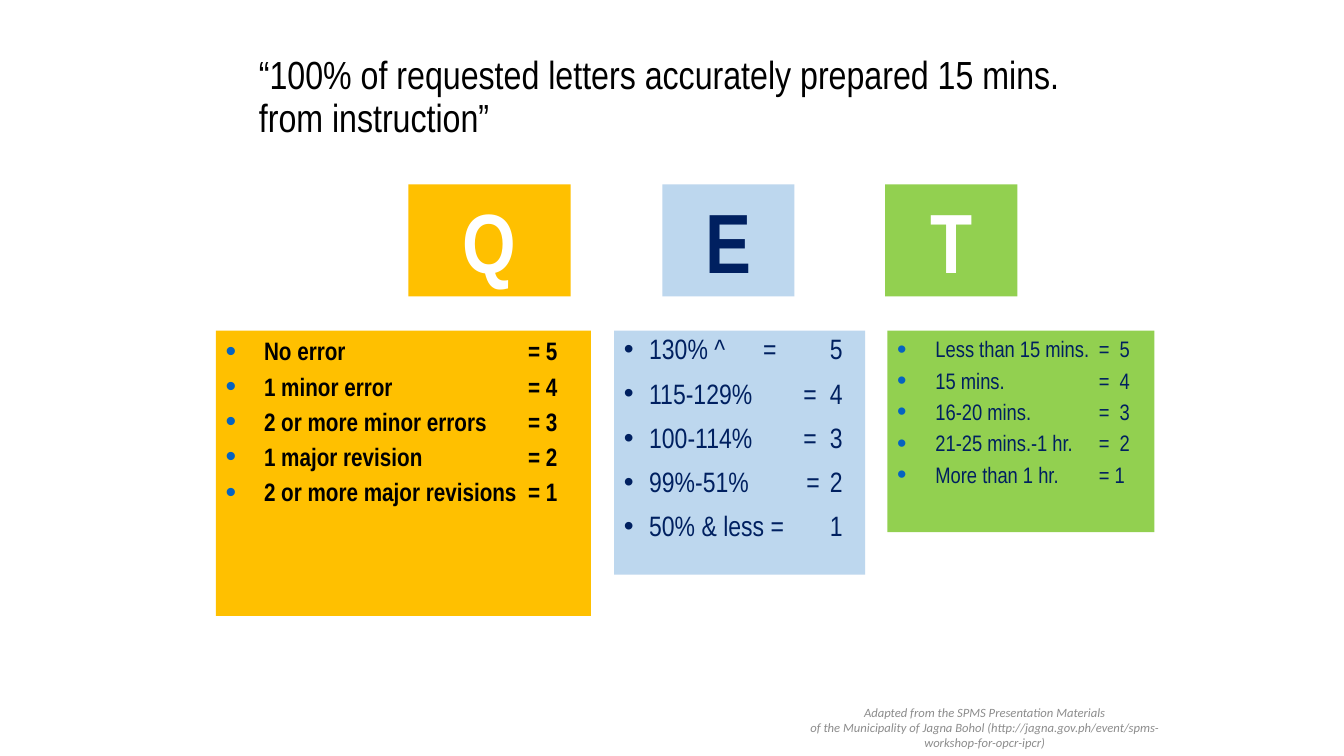
from dataclasses import dataclass

from pptx import Presentation
from pptx.dml.color import RGBColor
from pptx.enum import shapes, text
from pptx.oxml.ns import qn
from pptx.util import Inches, Pt
from lxml import etree


@dataclass(frozen=True)
class Theme:
    font: str = "Arial Narrow"
    credit_font: str = "Calibri"
    amber: str = "FFC000"
    blue: str = "BDD7EE"
    green: str = "92D050"
    navy: str = "002060"
    black: str = "000000"
    white: str = "FFFFFF"
    gray: str = "8C8C8C"
    bullet: str = "0563C1"
    title_size: int = 28
    letter_size: int = 60
    quality_size: int = 18
    efficiency_size: int = 20
    timeliness_size: int = 16
    credit_size: int = 9


THEME = Theme()
LETTER_TOP, LETTER_HEIGHT = 1.83, 1.11
SCALE_TOP = 3.28

# Each row holds its text and its tab stops, in inches from the text edge.
QUALITY = [(f"{label}\t= {score}", [3.0]) for label, score in (
    ("No error", 5), ("1 minor error", 4), ("2 or more minor errors", 3),
    ("1 major revision", 2), ("2 or more major revisions", 1))]
EFFICIENCY = [
    ("130% ^\t=\t5", [1.38, 2.08]),
    ("115-129%\t=\t4", [1.78, 2.08]),
    ("100-114%\t=\t3", [1.78, 2.08]),
    ("99%-51%\t=\t2", [1.81, 2.08]),
    ("50% & less =\t1", [2.08]),
]
TIMELINESS = [(f"{label}\t{score}", [2.0]) for label, score in (
    ("Less than 15 mins.", "=  5"), ("15 mins.", "=  4"),
    ("16-20 mins.", "=  3"), ("21-25 mins.-1 hr.", "=  2"),
    ("More than 1 hr.", "= 1"))]


def style_runs(paragraph, size, color, font=THEME.font, bold=False, italic=False):
    for run in paragraph.runs:
        run.font.name = font
        run.font.size = Pt(size)
        run.font.bold = bold
        run.font.italic = italic
        run.font.color.rgb = RGBColor.from_string(color)


def add_text(slide, box, lines, size, color, **run_style):
    """Add a vertically centred text box and return its paragraphs."""
    frame = slide.shapes.add_textbox(*map(Inches, box)).text_frame
    frame.word_wrap = True
    frame.vertical_anchor = text.MSO_ANCHOR.MIDDLE
    frame.text = "\n".join(lines)
    for paragraph in frame.paragraphs:
        style_runs(paragraph, size, color, **run_style)
    return frame.paragraphs


def add_panel(slide, box, fill):
    """Add a plain filled rectangle and return its text frame."""
    shape = slide.shapes.add_shape(shapes.MSO_SHAPE.RECTANGLE, *map(Inches, box))
    shape.shadow.inherit = False
    shape.fill.solid()
    shape.fill.fore_color.rgb = RGBColor.from_string(fill)
    shape.line.fill.background()
    shape.text_frame.word_wrap = True
    shape.text_frame.vertical_anchor = text.MSO_ANCHOR.TOP
    return shape.text_frame


def add_letter(slide, left, width, letter, fill, color):
    frame = add_panel(slide, (left, LETTER_TOP, width, LETTER_HEIGHT), fill)
    frame.text = letter
    paragraph = frame.paragraphs[0]
    paragraph.alignment = text.PP_ALIGN.CENTER
    style_runs(paragraph, THEME.letter_size, color, bold=True)


def set_bullet(paragraph, indent, color, percent, tab_stops):
    """Give a paragraph a hanging bullet and left tab stops."""
    properties = paragraph._p.get_or_add_pPr()
    properties.set("marL", str(Inches(indent)))
    properties.set("indent", str(-Inches(indent)))
    bullet_color = etree.SubElement(properties, qn("a:buClr"))
    etree.SubElement(bullet_color, qn("a:srgbClr"), val=color)
    etree.SubElement(properties, qn("a:buSzPct"), val=str(percent * 1000))
    etree.SubElement(properties, qn("a:buFont"), typeface="Arial")
    etree.SubElement(properties, qn("a:buChar"), char="•")
    tabs = etree.SubElement(properties, qn("a:tabLst"))
    for stop in tab_stops:
        etree.SubElement(tabs, qn("a:tab"), pos=str(Inches(stop)), algn="l")


def add_scale(slide, box, fill, rows, size, color, bold=False, indent=0.38,
              bullet_color=THEME.bullet, bullet_percent=120,
              line_spacing=1.0, space_before=None):
    """Add a rating panel; spacing defaults to a fifth of the type size."""
    frame = add_panel(slide, box, fill)
    frame.text = "\n".join(row for row, _ in rows)
    for paragraph, (_, tab_stops) in zip(frame.paragraphs, rows):
        paragraph.alignment = text.PP_ALIGN.LEFT
        paragraph.line_spacing = line_spacing
        paragraph.space_before = Pt(space_before or size * 0.2)
        set_bullet(paragraph, indent, bullet_color, bullet_percent, tab_stops)
        style_runs(paragraph, size, color, bold=bold)


def main():
    presentation = Presentation()
    presentation.slide_width = Inches(13.33)
    presentation.slide_height = Inches(7.5)
    slide = presentation.slides.add_slide(presentation.slide_layouts[6])

    title = add_text(
        slide, (2.47, 0.35, 8.56, 1.25),
        ["“100% of requested letters accurately prepared 15 mins. from instruction”"],
        THEME.title_size, THEME.black)
    title[0].line_spacing = 0.9

    add_letter(slide, 4.05, 1.61, "Q", THEME.amber, THEME.white)
    add_letter(slide, 6.57, 1.31, "E", THEME.blue, THEME.navy)
    add_letter(slide, 8.78, 1.31, "T", THEME.green, THEME.white)

    add_scale(slide, (2.14, SCALE_TOP, 3.72, 2.83), THEME.amber, QUALITY,
              THEME.quality_size, THEME.black, bold=True)
    add_scale(slide, (6.09, SCALE_TOP, 2.49, 2.42), THEME.blue, EFFICIENCY,
              THEME.efficiency_size, THEME.navy, indent=0.25,
              bullet_color=THEME.navy, bullet_percent=100,
              line_spacing=0.9, space_before=10)
    add_scale(slide, (8.8, SCALE_TOP, 2.65, 2.0), THEME.green, TIMELINESS,
              THEME.timeliness_size, THEME.navy)

    credit = add_text(
        slide, (7.83, 7.02, 3.87, 0.4),
        ["Adapted from the SPMS Presentation Materials",
         "of the Municipality of Jagna Bohol "
         "(http://jagna.gov.ph/event/spms-workshop-for-opcr-ipcr)"],
        THEME.credit_size, THEME.gray, font=THEME.credit_font, italic=True)
    for paragraph in credit:
        paragraph.alignment = text.PP_ALIGN.CENTER

    presentation.save("out.pptx")


if __name__ == "__main__":
    main()
